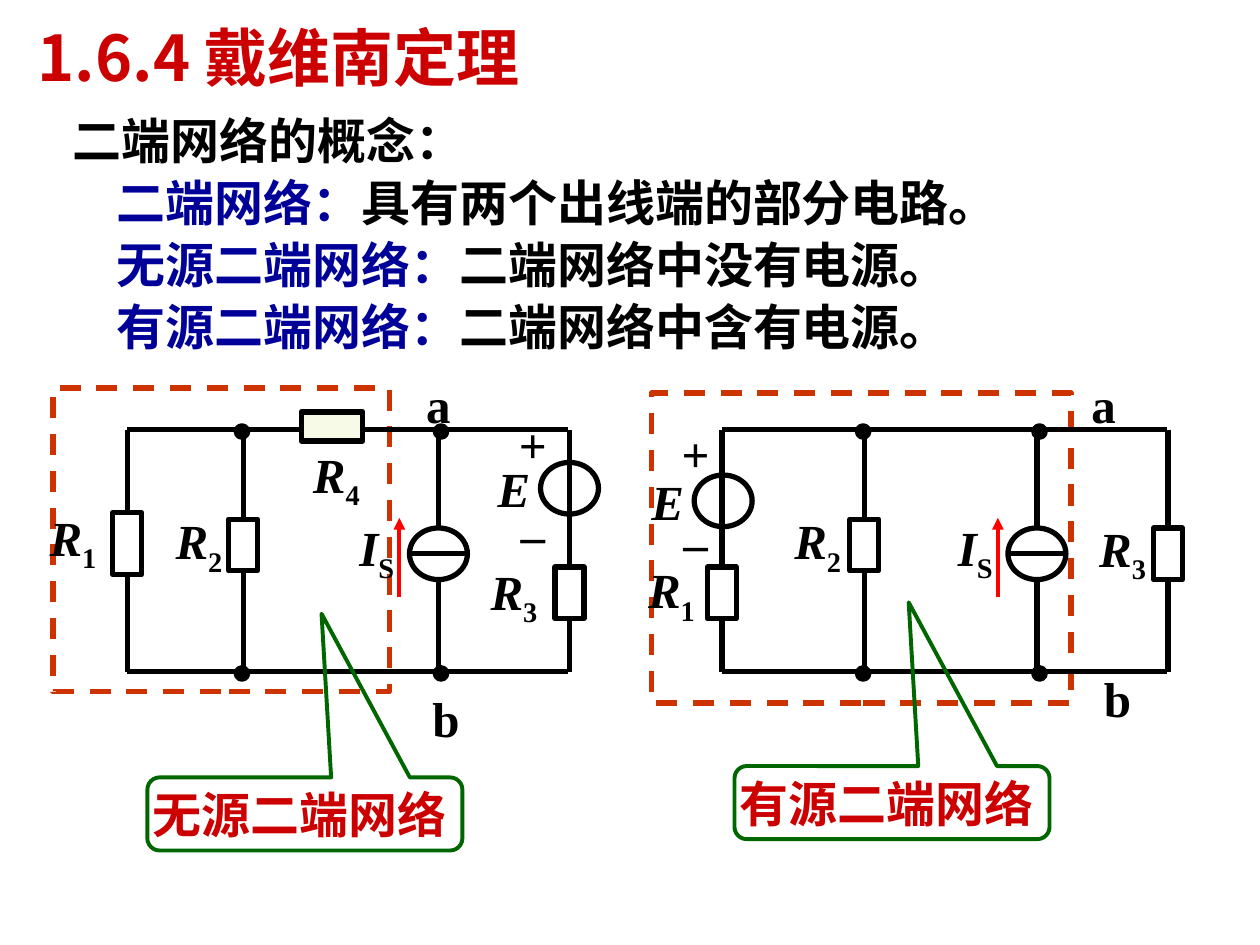
from lxml.etree import SubElement
from pptx import Presentation
from pptx.dml.color import RGBColor
from pptx.enum.dml import MSO_LINE
from pptx.enum.shapes import MSO_CONNECTOR, MSO_SHAPE
from pptx.enum.text import MSO_ANCHOR, PP_ALIGN
from pptx.oxml.ns import qn
from pptx.util import Inches, Pt

CHINESE, LATIN = "Noto Sans CJK SC", "Times New Roman"
BLACK, RED, BLUE, GREEN = "000000", "CC0000", "000099", "006600"
TOP, BOTTOM = 3.41, 5.33  # heights of the two circuit rails


def color(hex_string):
    return RGBColor.from_string(hex_string)


def lengths(*values):
    return [Inches(value) for value in values]


def add_span(para, text, hex_string=BLACK, font=LATIN, subscript=False, **formats):
    span = para.add_run()
    span.text = text
    values = {"size": Pt(28), "bold": True, "name": font, **formats}
    for name, value in values.items():
        setattr(span.font, name, value)
    span.font.color.rgb = color(hex_string)
    properties = span.font._element
    SubElement(properties, qn("a:ea")).set("typeface", CHINESE)
    if subscript:
        properties.set("baseline", "-25000")


def set_frame(frame, **formats):
    values = {"word_wrap": True, "vertical_anchor": MSO_ANCHOR.MIDDLE, **formats}
    for name, value in values.items():
        setattr(frame, name, value)


def add_outline(shapes, kind, place, line=BLACK, width=3, fill=None):
    shape = shapes.add_shape(kind, *lengths(*place))
    shape.shadow.inherit = False
    if fill:
        shape.fill.solid()
        shape.fill.fore_color.rgb = color(fill)
    else:
        shape.fill.background()
    shape.line.color.rgb = color(line)
    shape.line.width = Pt(width)
    return shape


def add_wire(shapes, start, end, line=BLACK, width=3):
    wire = shapes.add_connector(MSO_CONNECTOR.STRAIGHT, *lengths(*start, *end))
    wire.line.color.rgb = color(line)
    wire.line.width = Pt(width)
    SubElement(wire._element.spPr, qn("a:effectLst"))
    return wire


def add_label(shapes, x, y, text, subscript="", italic=False):
    """Label centred on (x, y); each line of text is a paragraph."""
    lines = text.split("\n")
    width, height = 0.8, 0.6 if len(lines) == 1 else 1.28
    box = shapes.add_textbox(*lengths(x - width / 2, y - height / 2, width, height))
    set_frame(box.text_frame)
    for index, line in enumerate(lines):
        para = box.text_frame.add_paragraph() if index else box.text_frame.paragraphs[0]
        para.alignment = PP_ALIGN.CENTER
        if index:
            para.space_before = Pt(17.5)
        add_span(para, line, italic=italic)
        if subscript:
            add_span(para, subscript, subscript=True)


def add_resistor(shapes, x, y, height=0.41):
    """Upright resistor at (x, y) with a lead to each rail."""
    body = add_outline(shapes, MSO_SHAPE.RECTANGLE, (x - 0.115, y, 0.23, height))
    add_wire(shapes, (x, TOP), (x, y)).end_connect(body, 0)
    add_wire(shapes, (x, y + height), (x, BOTTOM)).begin_connect(body, 2)


def add_voltage_source(shapes, x, y, sign_x, sign_y):
    add_outline(shapes, MSO_SHAPE.OVAL, (x - 0.23, y - 0.205, 0.46, 0.41))
    add_label(shapes, x - 0.44, y, "E", italic=True)
    add_label(shapes, sign_x, sign_y, "+\n–")


def add_current_source(shapes, x):
    y, radius = 4.395, 0.205
    add_outline(shapes, MSO_SHAPE.OVAL, (x - 0.23, y - radius, 0.46, 2 * radius))
    add_wire(shapes, (x - 0.23, y), (x + 0.23, y))
    add_wire(shapes, (x, TOP), (x, y - radius))
    add_wire(shapes, (x, y + radius), (x, BOTTOM))
    arrow = add_wire(shapes, (x - 0.31, 4.74), (x - 0.31, 4.11), "FF0000", 2.25)
    SubElement(arrow.line._get_or_add_ln(), qn("a:tailEnd")).set("type", "triangle")
    add_label(shapes, x - 0.49, 4.37, "I", "S", italic=True)


def add_circuit(page, left, right, nodes, resistors, labels, source, current_x):
    """Rails from left to right, the parts between them and the labels."""
    shapes = page.shapes.add_group_shape().shapes
    for y in (TOP, BOTTOM):
        add_wire(shapes, (left, y), (right, y))
    for resistor in resistors:
        add_resistor(shapes, *resistor)
    add_voltage_source(shapes, *source)
    add_current_source(shapes, current_x)
    for x in nodes:
        for y in (TOP, BOTTOM):
            add_outline(shapes, MSO_SHAPE.OVAL, (x - 0.045, y - 0.03, 0.09, 0.09), fill=BLACK)
    for x, y, number in labels:
        add_label(shapes, x, y, "R", number, italic=True)
    return shapes


def add_region(page, place):
    region = add_outline(page.shapes, MSO_SHAPE.RECTANGLE, place, "CC3300")
    region.line.dash_style = MSO_LINE.DASH


def add_callout(page, x, y, text):
    callout = add_outline(page.shapes, MSO_SHAPE.ROUNDED_RECTANGULAR_CALLOUT,
                          (x, y, 2.5, 0.58), GREEN, 2.25)
    for index, value in enumerate((0.053, -2.741, 0.167)):
        callout.adjustments[index] = value
    set_frame(callout.text_frame, word_wrap=False)
    para = callout.text_frame.paragraphs[0]
    para.alignment = PP_ALIGN.CENTER
    add_span(para, text, RED)


def add_title(page, text):
    title = page.shapes.title
    title.left, title.top, title.width, title.height = lengths(0.2, 0.05, 8.5, 0.79)
    set_frame(title.text_frame)
    para = title.text_frame.paragraphs[0]
    para.alignment = PP_ALIGN.LEFT
    add_span(para, text, RED, CHINESE, size=Pt(36))


def add_definitions(page, heading, definitions):
    box = page.shapes.add_textbox(*lengths(0.48, 0.83, 8.52, 2.04))
    set_frame(box.text_frame, vertical_anchor=MSO_ANCHOR.TOP)
    add_span(box.text_frame.paragraphs[0], heading, font=CHINESE)
    for term, meaning in definitions:
        para = box.text_frame.add_paragraph()
        para.space_before = Pt(1.8)
        para._p.get_or_add_pPr().set("marL", str(Inches(0.35)))
        add_span(para, term, BLUE, CHINESE)
        add_span(para, meaning, font=CHINESE)


def main():
    deck = Presentation()
    deck.slide_width, deck.slide_height = lengths(10, 7.5)
    page = deck.slides.add_slide(deck.slide_layouts[5])

    # Title and definitions
    add_title(page, "1.6.4 戴维南定理")
    add_definitions(page, "二端网络的概念：", [
        ("二端网络：", "具有两个出线端的部分电路。"),
        ("无源二端网络：", "二端网络中没有电源。"),
        ("有源二端网络：", "二端网络中含有电源。"),
    ])

    # Dashed borders of the two networks
    add_region(page, (0.42, 3.08, 2.67, 2.41))
    add_region(page, (5.17, 3.12, 3.33, 2.46))

    # Left circuit: passive network
    passive = add_circuit(
        page, 1.01, 4.51, nodes=(1.92, 3.5),
        resistors=[(1.01, 4.07, 0.49), (1.93, 4.12), (4.52, 4.5)],
        labels=[(0.58, 4.29, "1"), (1.58, 4.32, "2"), (4.08, 4.72, "3"), (2.67, 3.79, "4")],
        source=(4.52, 3.875, 4.23, 3.88), current_x=3.48)
    add_outline(passive, MSO_SHAPE.RECTANGLE, (2.39, 3.27, 0.49, 0.23), fill="F6FAE6")
    add_label(passive, 3.48, 3.21, "a")
    add_label(passive, 3.54, 5.7, "b")

    # Right circuit: active network
    active = add_circuit(
        page, 5.73, 9.26, nodes=(6.85, 8.25),
        resistors=[(5.73, 4.5), (6.86, 4.12), (9.27, 4.19)],
        labels=[(5.33, 4.71, "1"), (6.49, 4.32, "2"), (8.91, 4.38, "3")],
        source=(5.74, 3.975, 5.52, 3.95), current_x=8.23)
    add_label(active, 8.76, 3.21, "a")
    add_label(active, 8.87, 5.54, "b")

    # Callouts naming the networks
    add_callout(page, 1.17, 6.17, "无源二端网络 ")
    add_callout(page, 5.83, 6.08, "有源二端网络 ")

    deck.save("out.pptx")


if __name__ == "__main__":
    main()
